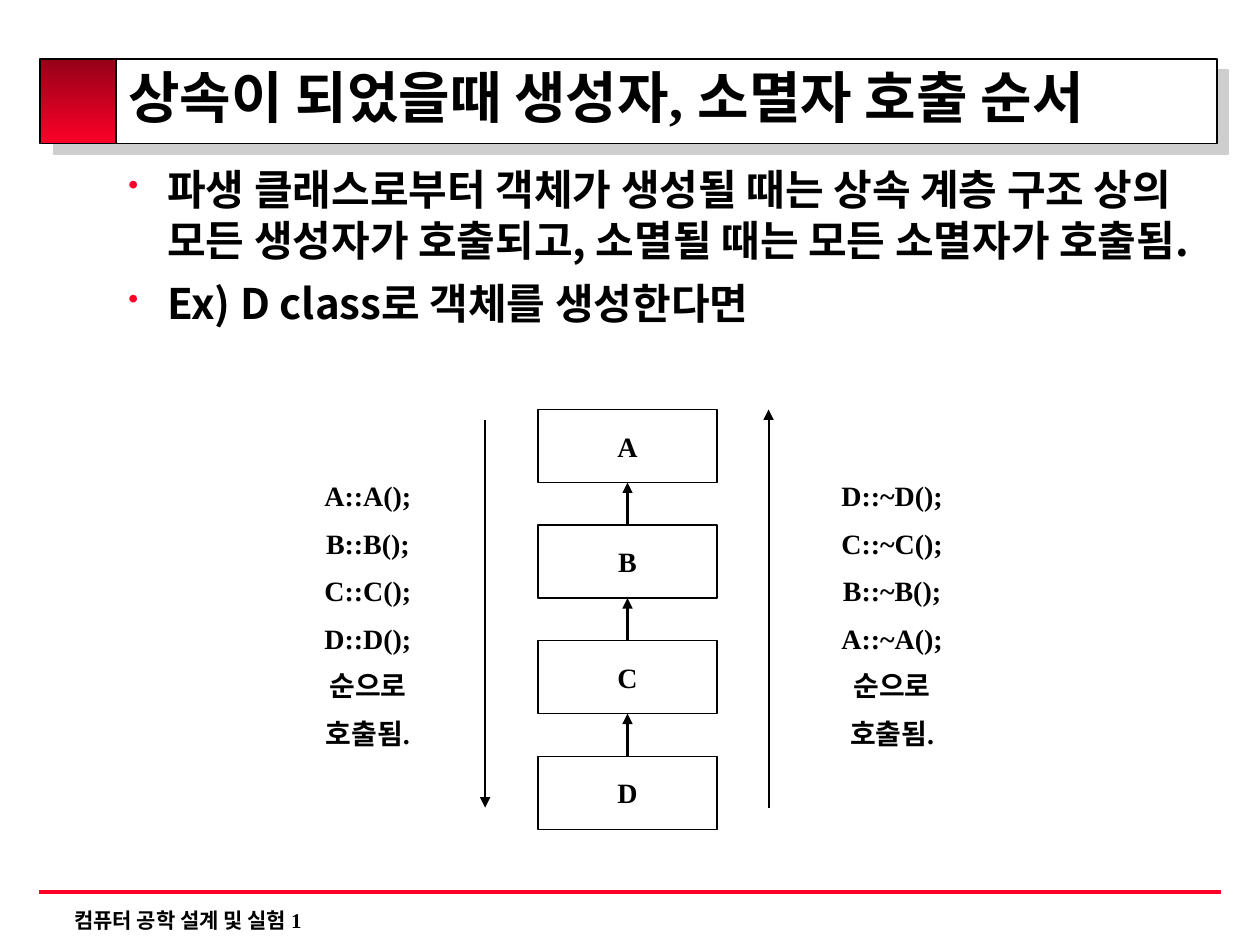
from lxml import etree
from pptx import Presentation
from pptx.dml.color import RGBColor
from pptx.enum.shapes import MSO_CONNECTOR, MSO_SHAPE
from pptx.enum.text import MSO_ANCHOR, PP_ALIGN
from pptx.oxml.ns import nsdecls, qn
from pptx.oxml import parse_xml
from pptx.util import Inches, Pt

TITLE = "상속이 되었을때 생성자, 소멸자 호출 순서"
BULLETS = [
    "파생 클래스로부터 객체가 생성될 때는 상속 계층 구조 상의 모든 생성자가 호출되고, 소멸될 때는 모든 소멸자가 호출됨.",
    "Ex) D class로 객체를 생성한다면",
]
CLASSES = ["A", "B", "C", "D"]
ENDING = ["순으로", "호출됨."]
CONSTRUCTORS = [f"{c}::{c}();" for c in CLASSES] + ENDING
DESTRUCTORS = [f"{c}::~{c}();" for c in reversed(CLASSES)] + ENDING
FOOTER = "컴퓨터 공학 설계 및 실험 1"

COLORS = {"ink": "000000", "paper": "FFFFFF", "red": "FC0128",
          "dark_red": "950118", "shadow": "CECECE"}
SERIF, SANS = "Times New Roman", "Noto Sans CJK KR"
BOX_LEFT, BOX_TOP, BOX_W, BOX_H, BOX_STEP = 4.27, 3.25, 1.42, 0.58, 0.917

prs = Presentation()
prs.slide_width, prs.slide_height = Inches(10), Inches(7.5)
slide = prs.slides.add_slide(prs.slide_layouts[6])


def rgb(name):
    return RGBColor.from_string(COLORS[name])


def shadow_effect(distance):
    return parse_xml(
        f'<a:effectLst {nsdecls("a")}><a:outerShdw dist="{Pt(distance)}" dir="2700000" algn="ctr" '
        f'rotWithShape="0"><a:srgbClr val="{COLORS["shadow"]}"/></a:outerShdw></a:effectLst>')


def write(shape, lines, size, font=SERIF, before=50, align=None, wrap=True, anchor=MSO_ANCHOR.TOP):
    frame = shape.text_frame
    frame.word_wrap, frame.vertical_anchor = wrap, anchor
    for i, line in enumerate(lines):
        p = frame.paragraphs[0] if i == 0 else frame.add_paragraph()
        p.alignment = align
        p.space_before = Pt(1)
        spacing = p._p.pPr.find(qn("a:spcBef"))
        spacing.remove(spacing[0])
        etree.SubElement(spacing, qn("a:spcPct"), val=str(before * 1000))
        run = p.add_run()
        run.text = line
        run.font.size, run.font.name, run.font.bold = Pt(size), font, True
        run.font.color.rgb = rgb("ink")
    return frame


def text(box, lines, size, **style):
    return write(slide.shapes.add_textbox(*map(Inches, box)), lines, size, **style)


def rect(box, line_width):
    shape = slide.shapes.add_shape(MSO_SHAPE.RECTANGLE, *map(Inches, box))
    shape.shadow.inherit = False
    shape.fill.solid()
    shape.fill.fore_color.rgb = rgb("paper")
    shape.line.color.rgb = rgb("ink")
    shape.line.width = Pt(line_width)
    return shape


def line(start, end, width=1.25, color="ink", arrow=True):
    connector = slide.shapes.add_connector(MSO_CONNECTOR.STRAIGHT, *map(Inches, start + end))
    connector.line.color.rgb = rgb(color)
    connector.line.width = Pt(width)
    if arrow:
        etree.SubElement(connector.line._get_or_add_ln(), qn("a:tailEnd"), type="triangle")
    etree.SubElement(connector._element.spPr, qn("a:effectLst"))


title_bar = rect((0.34, 0.47, 9.32, 0.67), 1)
bar_props = title_bar._element.spPr
bar_props.replace(bar_props.find(qn("a:effectLst")), shadow_effect(8.5))

accent = rect((0.32, 0.47, 0.6, 0.67), 1)
accent.fill.gradient()
accent.fill.gradient_angle = 270
for stop, (color, position) in zip(accent.fill.gradient_stops, [("dark_red", 0), ("red", 1)]):
    stop.color.rgb, stop.position = rgb(color), position

text((0.49, 7.15, 6.68, 0.3), [FOOTER], 12)
line((0.31, 7.08), (9.69, 7.08), 2.25, "red", arrow=False)

title = text((0.92, 0.44, 8.77, 0.75), [TITLE], 32, before=6, anchor=MSO_ANCHOR.MIDDLE)
title.paragraphs[0].line_spacing = 0.8
run_props = title.paragraphs[0].runs[0].font._element
run_props.find(qn("a:solidFill")).addnext(shadow_effect(3))

body = text((0.92, 1.25, 8.77, 5.31), BULLETS, 24, font=SANS, before=30)
for p in body.paragraphs:
    props = p._p.get_or_add_pPr()
    props.set("marL", str(Inches(0.31)))
    props.set("indent", str(-Inches(0.31)))
    bullet_color = etree.SubElement(props, qn("a:buClr"))
    etree.SubElement(bullet_color, qn("a:srgbClr"), val=COLORS["red"])
    etree.SubElement(props, qn("a:buSzPct"), val="70000")
    etree.SubElement(props, qn("a:buChar"), char="•")

center = BOX_LEFT + BOX_W / 2
for i, name in enumerate(CLASSES):
    top = BOX_TOP + i * BOX_STEP
    write(rect((BOX_LEFT, top, BOX_W, BOX_H), 0.75), [name], 16,
          align=PP_ALIGN.CENTER, wrap=False, anchor=MSO_ANCHOR.MIDDLE)
    if i:
        line((center, top), (center, top - BOX_STEP + BOX_H))

line((3.85, 3.33), (3.85, 6.41))
line((6.1, 6.41), (6.1, BOX_TOP))
for left, width, calls in [(2.41, 1.02, CONSTRUCTORS), (6.49, 1.18, DESTRUCTORS)]:
    text((left, 3.75, width, 1.9), calls, 16, align=PP_ALIGN.CENTER, wrap=False)

prs.save("out.pptx")
